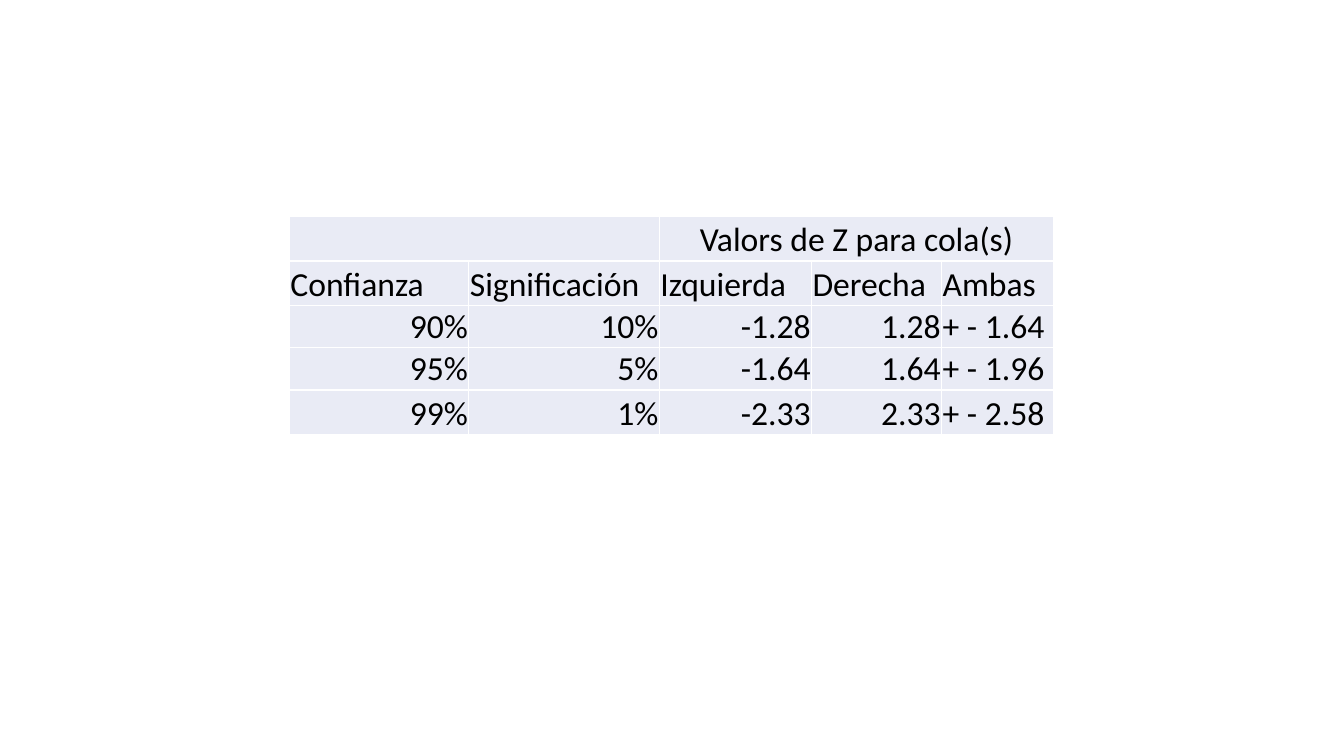
"""Build a slide with a table of critical Z values by confidence level."""
from lxml import etree
from pptx import Presentation
from pptx.dml.color import RGBColor
from pptx.enum.text import MSO_ANCHOR, PP_ALIGN
from pptx.oxml.ns import qn
from pptx.util import Inches, Pt

LEFT, CENTER, RIGHT = PP_ALIGN.LEFT, PP_ALIGN.CENTER, PP_ALIGN.RIGHT
BOTTOM = MSO_ANCHOR.BOTTOM
BLACK = RGBColor(0x00, 0x00, 0x00)
WHITE = RGBColor(0xFF, 0xFF, 0xFF)
PALE_BLUE = RGBColor(0xE9, 0xEB, 0xF5)

COLUMN_WIDTHS = [1.78, 1.89, 1.51, 1.29, 1.11]
ROW_HEIGHTS = [0.44, 0.44, 0.42, 0.42, 0.44]
HEADINGS = ["Confianza", "Significación", "Izquierda", "Derecha", "Ambas"]
LEVELS = [
    ["90%", "10%", "-1.28", "1.28", "+ - 1.64"],
    ["95%", "5%", "-1.64", "1.64", "+ - 1.96"],
    ["99%", "1%", "-2.33", "2.33", "+ - 2.58"],
]


def write(cell, text, align=LEFT, size=24, font="Calibri", color=BLACK):
    paragraph = cell.text_frame.paragraphs[0]
    paragraph.alignment = align
    run = paragraph.add_run()
    run.text = text
    run.font.size = Pt(size)
    run.font.name = font
    run.font.bold = False
    run.font.color.rgb = color


prs = Presentation()
prs.slide_width, prs.slide_height = Inches(13.33), Inches(7.5)
slide = prs.slides.add_slide(prs.slide_layouts[6])

z_table = slide.shapes.add_table(
    len(ROW_HEIGHTS), len(COLUMN_WIDTHS), Inches(2.87), Inches(2.15),
    Inches(sum(COLUMN_WIDTHS)), Inches(sum(ROW_HEIGHTS))).table
z_table.first_row = False
z_table.horz_banding = False
for column, width in zip(z_table.columns, COLUMN_WIDTHS):
    column.width = Inches(width)
for row, height in zip(z_table.rows, ROW_HEIGHTS):
    row.height = Inches(height)

for cell in z_table.iter_cells():
    cell.margin_left = cell.margin_right = cell.margin_top = Inches(0.01)
    cell.margin_bottom = 0
    cell.vertical_anchor = BOTTOM
    properties = cell._tc.get_or_add_tcPr()
    for side in ("a:lnL", "a:lnR", "a:lnT", "a:lnB"):
        border = etree.SubElement(properties, qn(side), w=str(Pt(1)))
        border_fill = etree.SubElement(border, qn("a:solidFill"))
        etree.SubElement(border_fill, qn("a:srgbClr"), val=str(WHITE))
    cell.fill.solid()
    cell.fill.fore_color.rgb = PALE_BLUE

z_table.cell(0, 0).merge(z_table.cell(0, 1))
z_table.cell(0, 2).merge(z_table.cell(0, 4))
write(z_table.cell(0, 2), "Valors de Z para cola(s)", align=CENTER)
for col, heading in enumerate(HEADINGS):
    write(z_table.cell(1, col), heading)
for row, level in enumerate(LEVELS, start=2):
    for col, value in enumerate(level):
        write(z_table.cell(row, col), value, align=LEFT if col == 4 else RIGHT)

prs.save("out.pptx")
